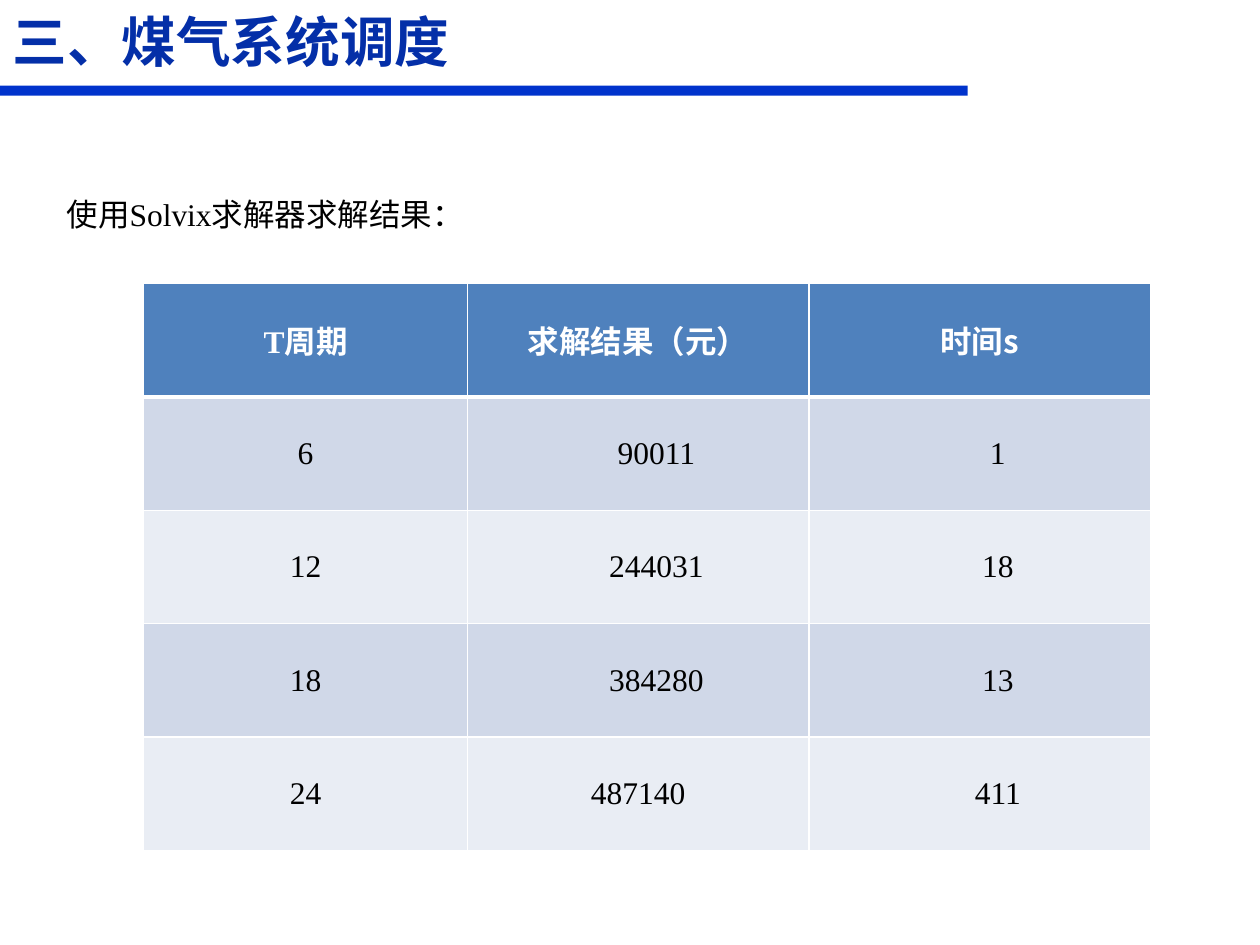
import pptx
import pptx.dml.color
import pptx.enum.shapes
import pptx.enum.text
import pptx.oxml.ns
import pptx.util
from lxml import etree

Inches = pptx.util.Inches
Pt = pptx.util.Pt
RGBColor = pptx.dml.color.RGBColor
PP_ALIGN = pptx.enum.text.PP_ALIGN
MIDDLE = pptx.enum.text.MSO_ANCHOR.MIDDLE
qn = pptx.oxml.ns.qn

SANS = "Noto Sans CJK SC"
SERIF = "Times New Roman"
TITLE_BLUE = RGBColor(0x04, 0x2F, 0xA8)
BAR_BLUE = RGBColor(0x00, 0x33, 0xCC)
HEADER_BLUE = RGBColor(0x4F, 0x81, 0xBD)
BANDS = [RGBColor(0xD0, 0xD8, 0xE8), RGBColor(0xE9, 0xED, 0xF4)]
WHITE = RGBColor(0xFF, 0xFF, 0xFF)
BLACK = RGBColor(0x00, 0x00, 0x00)

TITLE = [("三、煤气系统调度", SANS)]
INTRO = [("使用", SANS), ("Solvix", SERIF), ("求解器求解结果：", SANS)]
HEADERS = [
    [("T", SERIF), ("周期", SANS)],
    [("求解结果（元）", SERIF)],
    [("时间s", SANS)],
]
RESULTS = [
    ("6", "90011", "1"),
    ("12", "244031", "18"),
    ("18", "384280", "13"),
    ("24", "487140", "411"),
]
UNINDENTED = {"487140"}
COLUMN_WIDTHS = [2.57, 2.71, 2.71]
ROW_HEIGHT = 0.9


def write(paragraph, parts, size, color, bold=False, align=PP_ALIGN.LEFT):
    paragraph.alignment = align
    paragraph.font.size = Pt(size)
    paragraph.font.bold = bold
    paragraph.font.color.rgb = color
    for text, font_name in parts:
        run = paragraph.add_run()
        run.text = text
        run.font.name = font_name
        east_asian = etree.SubElement(run.font._element, qn("a:ea"))
        east_asian.set("typeface", SANS)


def format_cell(cell, fill, bottom_width):
    cell.vertical_anchor = MIDDLE
    properties = cell._tc.get_or_add_tcPr()
    for side, width in (("L", 1), ("R", 1), ("T", 1), ("B", bottom_width)):
        line = etree.SubElement(properties, qn(f"a:ln{side}"), w=str(Pt(width)))
        solid = etree.SubElement(line, qn("a:solidFill"))
        etree.SubElement(solid, qn("a:srgbClr"), val=str(WHITE))
    cell.fill.solid()
    cell.fill.fore_color.rgb = fill


def add_title(slide):
    bar = slide.shapes.add_shape(
        pptx.enum.shapes.MSO_SHAPE.RECTANGLE,
        Inches(0), Inches(0.68), Inches(7.68), Inches(0.08))
    bar.shadow.inherit = False
    bar.fill.solid()
    bar.fill.fore_color.rgb = BAR_BLUE
    bar.line.fill.background()

    title = slide.shapes.title
    title.left, title.top = Inches(0), Inches(-0.11)
    title.width, title.height = Inches(9.42), Inches(0.87)
    title.text_frame.vertical_anchor = MIDDLE
    write(title.text_frame.paragraphs[0], TITLE, 31.2, TITLE_BLUE, bold=True)


def add_results(slide):
    frame = slide.shapes.add_table(
        len(RESULTS) + 1, len(HEADERS), Inches(1.14), Inches(2.25),
        Inches(sum(COLUMN_WIDTHS)), Inches(ROW_HEIGHT * (len(RESULTS) + 1)))
    table = frame.table
    for column, width in zip(table.columns, COLUMN_WIDTHS):
        column.width = Inches(width)
    for row in table.rows:
        row.height = Inches(ROW_HEIGHT)

    for column, parts in enumerate(HEADERS):
        cell = table.cell(0, column)
        format_cell(cell, HEADER_BLUE, 3)
        write(cell.text_frame.paragraphs[0], parts, 18, WHITE, True, PP_ALIGN.CENTER)

    for row, values in enumerate(RESULTS, start=1):
        for column, value in enumerate(values):
            cell = table.cell(row, column)
            format_cell(cell, BANDS[(row - 1) % 2], 1)
            paragraph = cell.text_frame.paragraphs[0]
            if column > 0 and value not in UNINDENTED:
                cell.margin_left = cell.margin_right = Inches(0.07)
                cell.margin_top = cell.margin_bottom = 0
                paragraph_properties = paragraph._p.get_or_add_pPr()
                paragraph_properties.set("marL", "0")
                paragraph_properties.set("indent", str(Inches(0.29)))
            write(paragraph, [(value, SERIF)], 18, BLACK, align=PP_ALIGN.CENTER)


def add_intro(slide):
    box = slide.shapes.add_textbox(Inches(0.43), Inches(1.5), Inches(3.63), Inches(0.4))
    box.text_frame.word_wrap = True
    box.text_frame.auto_size = pptx.enum.text.MSO_AUTO_SIZE.SHAPE_TO_FIT_TEXT
    write(box.text_frame.paragraphs[0], INTRO, 18, BLACK)


def main():
    presentation = pptx.Presentation()
    presentation.slide_width = Inches(10)
    presentation.slide_height = Inches(7.5)
    slide = presentation.slides.add_slide(presentation.slide_layouts[5])
    add_title(slide)
    add_results(slide)
    add_intro(slide)
    presentation.save("out.pptx")


if __name__ == "__main__":
    main()
